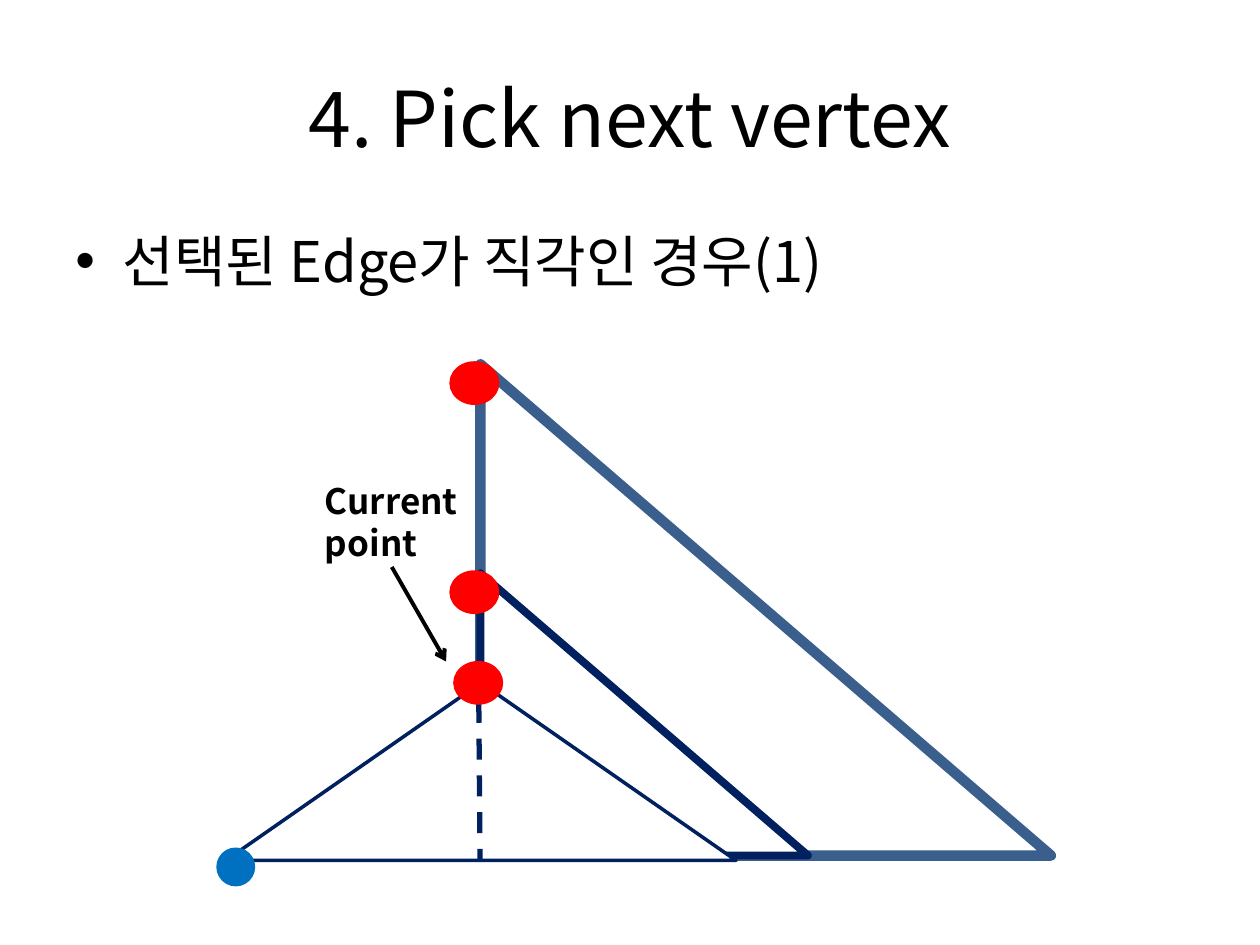
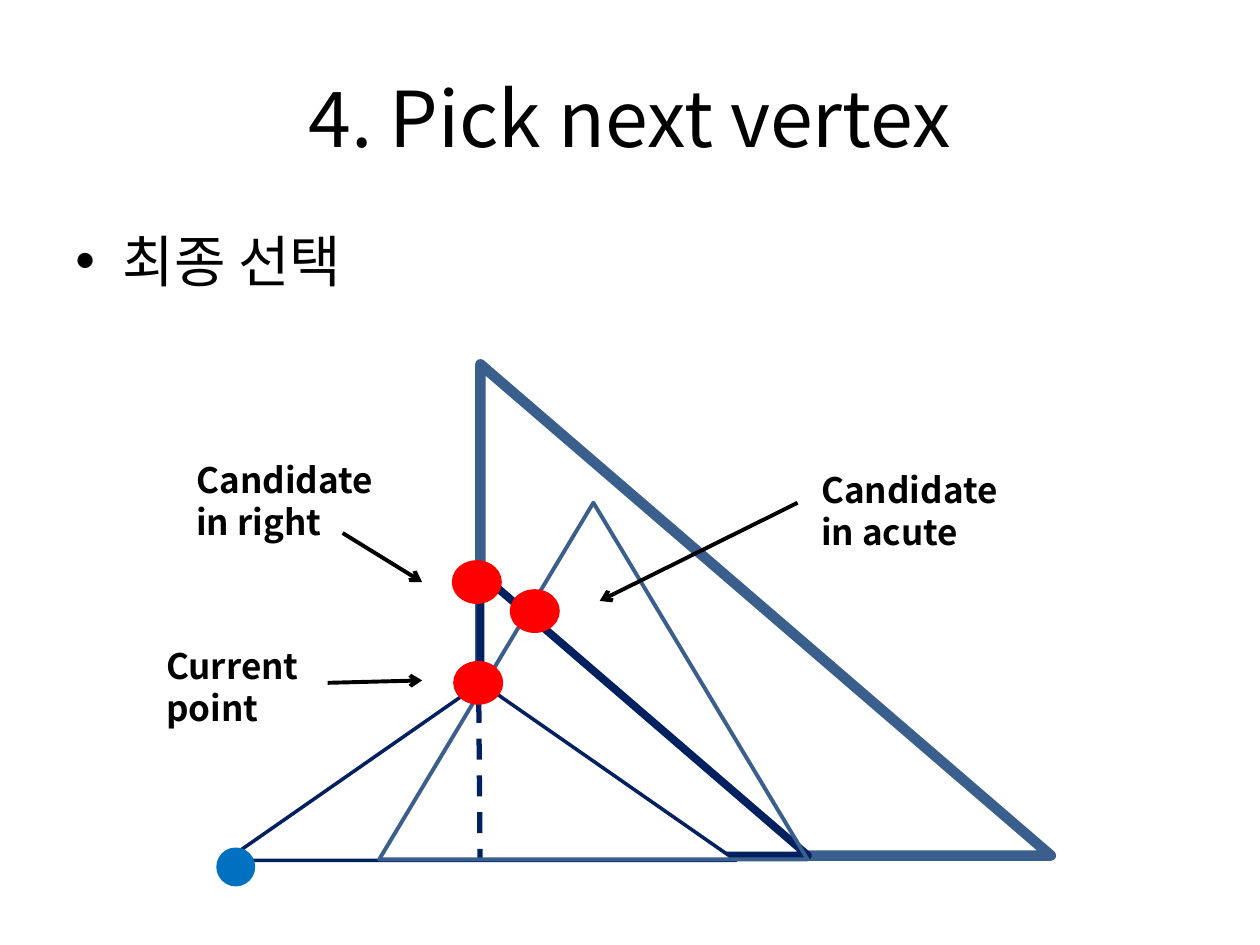
import dataclasses
import lxml.etree
import pptx
import pptx.dml.color
import pptx.enum.dml
import pptx.enum.shapes
import pptx.enum.text
import pptx.oxml.ns
import pptx.util

Pt = pptx.util.Pt
Kind = pptx.enum.shapes.MSO_SHAPE
Align = pptx.enum.text.PP_ALIGN
Anchor = pptx.enum.text.MSO_ANCHOR


@dataclasses.dataclass(frozen=True)
class Theme:
    font: str = "Noto Sans CJK KR"
    ink: str = "000000"
    paper: str = "FFFFFF"
    steel: str = "3A5F8C"
    navy: str = "002060"
    red: str = "FF0000"
    blue: str = "0070C0"
    title: int = 44
    body: int = 32
    label: int = 20


theme = Theme()
DOT = (26.6, 23)
LABEL = (118.8, 55.4)
CURRENT = (260, 378.7)


def paint(code):
    return pptx.dml.color.RGBColor.from_string(code)


def add_tag(node, name, **attrs):
    return lxml.etree.SubElement(node, pptx.oxml.ns.qn(name), attrs)


def add_text(slide, text, box, size, bold=False, align=Align.LEFT,
             anchor=Anchor.TOP, bullet=False):
    frame = slide.shapes.add_textbox(*map(Pt, box)).text_frame
    frame.word_wrap = True
    frame.vertical_anchor = anchor
    para = frame.paragraphs[0]
    para.alignment = align
    if bullet:
        props = para._p.get_or_add_pPr()
        props.set("marL", str(Pt(27)))
        props.set("indent", str(Pt(-27)))
        add_tag(props, "a:buFont", typeface="Arial")
        add_tag(props, "a:buChar", char="•")
    run = para.add_run()
    run.text = text
    run.font.size = Pt(size)
    run.font.bold = bold
    run.font.color.rgb = paint(theme.ink)
    run.font.name = theme.font
    add_tag(run._r.get_or_add_rPr(), "a:ea", typeface=theme.font)


def add_form(slide, kind, box, fill, edge, weight):
    form = slide.shapes.add_shape(kind, *map(Pt, box))
    form.shadow.inherit = False
    if fill:
        form.fill.solid()
        form.fill.fore_color.rgb = paint(fill)
    else:
        form.fill.background()
    form.line.color.rgb = paint(edge)
    form.line.width = Pt(weight)


def add_dot(slide, spot, size=DOT, hue=theme.red):
    add_form(slide, Kind.OVAL, (*spot, *size), hue, hue, 2)


def add_line(slide, start, end, hue, weight, dash=False, arrow=False):
    line = slide.shapes.add_connector(
        pptx.enum.shapes.MSO_CONNECTOR.STRAIGHT, *map(Pt, (*start, *end)))
    line.line.color.rgb = paint(hue)
    line.line.width = Pt(weight)
    if dash:
        line.line.dash_style = pptx.enum.dml.MSO_LINE.DASH
    if arrow:
        add_tag(line.line._get_or_add_ln(), "a:tailEnd", type="arrow")
    add_tag(line._element.spPr, "a:effectLst")


def add_note(slide, text, spot, start, end):
    add_line(slide, start, end, theme.ink, 2.25, arrow=True)
    add_text(slide, text, (*spot, *LABEL), theme.label, bold=True)


def add_page(deck, point):
    slide = deck.slides.add_slide(deck.slide_layouts[6])
    add_text(slide, "4. Pick next vertex", (36, 21.6, 648, 90), theme.title,
             align=Align.CENTER, anchor=Anchor.MIDDLE)
    add_text(slide, point, (36, 126, 648, 356.4), theme.body, bullet=True)
    for kind, box, edge, weight in (
        (Kind.RIGHT_TRIANGLE, (274.5, 208.2, 326, 280.7), theme.steel, 6),
        (Kind.RIGHT_TRIANGLE, (274.5, 327.6, 187.2, 161.3), theme.navy, 4.5),
        (Kind.ISOSCELES_TRIANGLE, (129, 390.2, 291.6, 101.5), theme.navy, 2),
    ):
        add_form(slide, kind, box, theme.paper, edge, weight)
    add_line(slide, (273.6, 401), (274.3, 491), theme.navy, 3, dash=True)
    add_dot(slide, (124.6, 485.3), (20.2, 20.2), theme.blue)
    return slide


def add_right(deck):
    slide = add_page(deck, "선택된 Edge가 직각인 경우(1)")
    for spot in (CURRENT, (257.8, 326.9), (257.8, 207.4)):
        add_dot(slide, spot)
    add_note(slide, "Current point", (178.6, 270.7), (223.9, 324), (254.9, 378))


def add_final(deck):
    slide = add_page(deck, "최종 선택")
    add_dot(slide, (259.2, 321.1))
    add_form(slide, Kind.ISOSCELES_TRIANGLE, (216.7, 287.3, 244.8, 203.8),
             None, theme.steel, 2.25)
    for note in (
        ("Current point", (87.8, 365), (187.2, 390.2), (241.2, 388.8)),
        ("Candidate in right", (105.1, 258.5), (195.8, 304.6), (241.2, 332.6)),
        ("Candidate in acute", (462.2, 264.2), (455.8, 287.3), (342.7, 343.4)),
    ):
        add_note(slide, *note)
    for spot in (CURRENT, (292.3, 337.7)):
        add_dot(slide, spot)


def main():
    deck = pptx.Presentation()
    deck.slide_width, deck.slide_height = Pt(720), Pt(540)
    add_right(deck)
    add_final(deck)
    deck.save("out.pptx")


if __name__ == "__main__":
    main()
